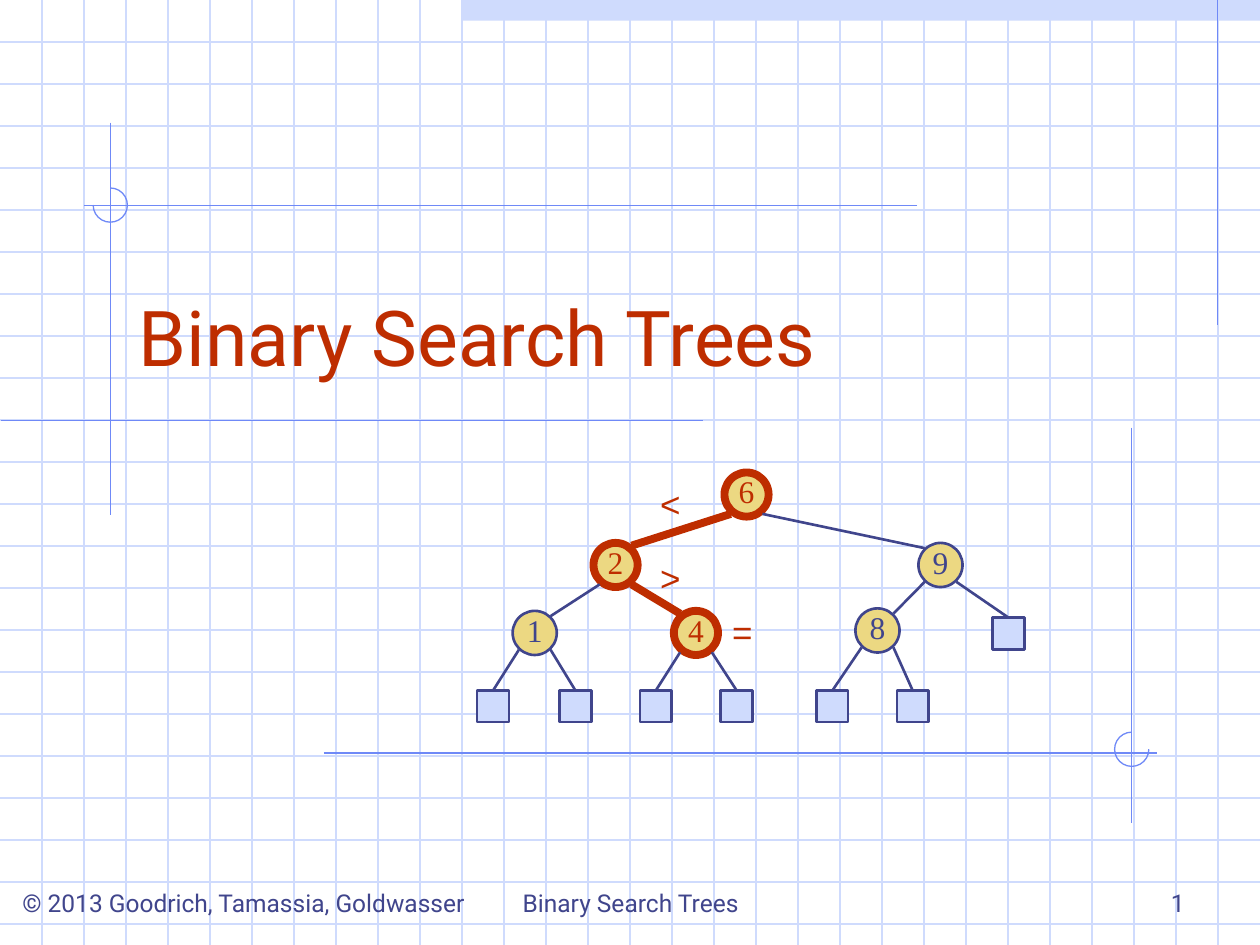
import pptx
import pptx.dml.color
import pptx.enum.shapes
import pptx.enum.text
import pptx.oxml
import pptx.oxml.ns
import pptx.util

Cm = pptx.util.Cm
Pt = pptx.util.Pt
SHAPE = pptx.enum.shapes.MSO_SHAPE
ALIGN = pptx.enum.text.PP_ALIGN
ANCHOR = pptx.enum.text.MSO_ANCHOR
COLORS = {
    name: pptx.dml.color.RGBColor.from_string(value)
    for name, value in {
        "pale": "CFDBFD",
        "guide": "6F89F7",
        "ink": "40458C",
        "path": "BE2D00",
        "node": "ECD882",
    }.items()
}
WIDTH, HEIGHT = 25.4, 19.05
THIN, THICK = 1.5, 4.5


def write(box, text, font="Roboto", size=14, color="ink", align=ALIGN.LEFT,
          anchor=ANCHOR.BOTTOM, wrap=True):
    frame = box.text_frame
    frame.word_wrap = wrap
    frame.vertical_anchor = anchor
    para = frame.paragraphs[0]
    para.alignment = align
    span = para.add_run()
    span.text = text
    span.font.name = font
    span.font.size = Pt(size)
    span.font.color.rgb = COLORS[color]


def draw_line(x1, y1, x2, y2, color, weight=0.75):
    line = page.shapes.add_connector(
        pptx.enum.shapes.MSO_CONNECTOR.STRAIGHT, Cm(x1), Cm(y1), Cm(x2), Cm(y2))
    line.line.color.rgb = COLORS[color]
    line.line.width = Pt(weight)
    properties = line._element.spPr
    properties.append(pptx.oxml.parse_xml(
        f"<a:effectLst {pptx.oxml.ns.nsdecls('a')}/>"))
    return line


deck = pptx.Presentation()
deck.slide_width, deck.slide_height = Cm(WIDTH), Cm(HEIGHT)
page = deck.slides.add_slide(deck.slide_layouts[6])

# Top band and squared paper
band = page.shapes.add_shape(SHAPE.RECTANGLE, Cm(9.31), 0, Cm(16.09), Cm(0.42))
band.shadow.inherit = False
band.fill.solid()
band.fill.fore_color.rgb = COLORS["pale"]
band.line.fill.background()

step = WIDTH / 30
for row in range(1, 23):
    draw_line(0, row * step, WIDTH, row * step, "pale")
for column in range(1, 30):
    draw_line(column * step, 0, column * step, HEIGHT, "pale")

# Guide lines and the arcs at two of their crossings
for ends in [
    (24.55, 0, 24.55, 6.55),
    (2.23, 2.47, 2.23, 10.39),
    (14.17, 8.48, 0.02, 8.48),
    (18.49, 4.14, 1.7, 4.14),
    (6.53, 15.18, 23.32, 15.18),
    (22.81, 8.62, 22.81, 16.6),
]:
    draw_line(*ends, "guide")

for left, top, start, end in [(1.88, 3.79, 270, 180), (22.47, 14.76, 0, 270)]:
    arc = page.shapes.add_shape(SHAPE.ARC, Cm(left), Cm(top), Cm(0.69), Cm(0.69))
    arc.shadow.inherit = False
    # Arc adjustments count 0.6 per degree
    arc.adjustments[0] = start * 0.6
    arc.adjustments[1] = end * 0.6
    arc.fill.background()
    arc.line.color.rgb = COLORS["guide"]
    arc.line.width = Pt(0.75)

# Title and footer
for left, top, width, height, text, form in [
    (2.54, 4.65, 21.59, 3.18, "Binary Search Trees", {"size": 44, "color": "path"}),
    (0.2, 17.35, 9.73, 1.27, "© 2013 Goodrich, Tamassia, Goldwasser", {}),
    (8.69, 17.35, 8.05, 1.27, "Binary Search Trees", {"align": ALIGN.CENTER}),
    (18.21, 17.35, 5.92, 1.27, "1", {"align": ALIGN.RIGHT}),
]:
    box = page.shapes.add_textbox(Cm(left), Cm(top), Cm(width), Cm(height))
    write(box, text, **form)

# Tree nodes: centre of each key; the search path is 6, 2, 4
centers = {
    "6": (15.05, 9.97),
    "9": (18.96, 11.39),
    "2": (12.41, 11.39),
    "4": (14.03, 12.76),
    "1": (10.78, 12.76),
    "8": (17.69, 12.71),
}
search_path = "624"
diameter = 0.89
for key, (x, y) in centers.items():
    found = key in search_path
    color = "path" if found else "ink"
    node = page.shapes.add_shape(SHAPE.OVAL, Cm(x - diameter / 2),
                                 Cm(y - diameter / 2), Cm(diameter), Cm(diameter))
    node.shadow.inherit = False
    node.fill.solid()
    node.fill.fore_color.rgb = COLORS["node"]
    node.line.color.rgb = COLORS[color]
    node.line.width = Pt(THICK if found else THIN)
    frame = node.text_frame
    frame.margin_left = frame.margin_right = frame.margin_top = 0
    frame.margin_bottom = Cm(0.13)
    write(node, key, font="Times New Roman", size=18, color=color,
          align=ALIGN.CENTER, anchor=ANCHOR.MIDDLE, wrap=False)

# Edges between nodes meet the circles on their diagonals
reach_x = 0.32
reach_y = {key: 0.39 if key in search_path else 0.34 for key in centers}
for parent, child in ["62", "69", "21", "24", "98"]:
    (x1, y1), (x2, y2) = centers[parent], centers[child]
    side = 1 if x2 > x1 else -1
    found = child in search_path
    draw_line(x1 + side * reach_x, y1 + reach_y[parent],
              x2 - side * reach_x, y2 - reach_y[child],
              "path" if found else "ink", THICK if found else THIN)

# Leaves, each joined to its parent
leaf_size = 0.64
for parent, x, top in [
    ("1", 9.94, 13.92), ("1", 11.6, 13.92),
    ("4", 13.22, 13.92), ("4", 14.85, 13.92),
    ("8", 16.78, 13.92), ("8", 18.4, 13.92),
    ("9", 20.33, 12.45),
]:
    leaf = page.shapes.add_shape(SHAPE.RECTANGLE, Cm(x - leaf_size / 2), Cm(top),
                                 Cm(leaf_size), Cm(leaf_size))
    leaf.shadow.inherit = False
    leaf.fill.solid()
    leaf.fill.fore_color.rgb = COLORS["pale"]
    leaf.line.color.rgb = COLORS["ink"]
    leaf.line.width = Pt(THIN)
    parent_x, parent_y = centers[parent]
    side = 1 if x > parent_x else -1
    edge = draw_line(x, top, parent_x + side * reach_x,
                     parent_y + reach_y[parent], "ink", THIN)
    edge.begin_connect(leaf, 0)

# Comparison signs along the search path
for sign, left, top, width in [
    ("<", 13.06, 9.6, 0.91), (">", 13.06, 11.1, 0.91), ("=", 14.43, 12.19, 1.07),
]:
    box = page.shapes.add_textbox(Cm(left), Cm(top), Cm(width), Cm(1.12))
    write(box, sign, font="Arial", size=20, color="path", align=ALIGN.CENTER,
          anchor=ANCHOR.TOP, wrap=False)
    box.text_frame.auto_size = pptx.enum.text.MSO_AUTO_SIZE.SHAPE_TO_FIT_TEXT

deck.save("out.pptx")
